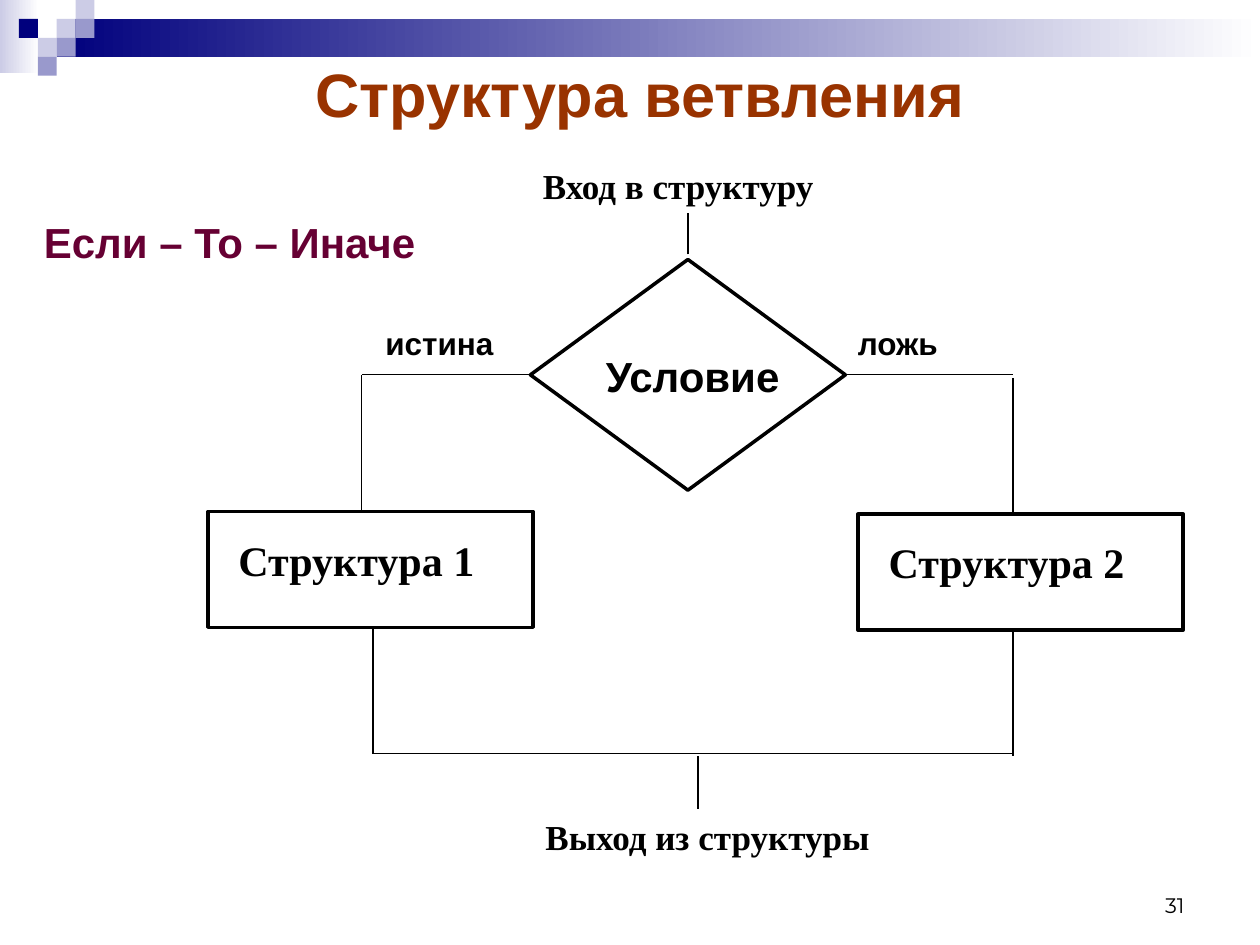
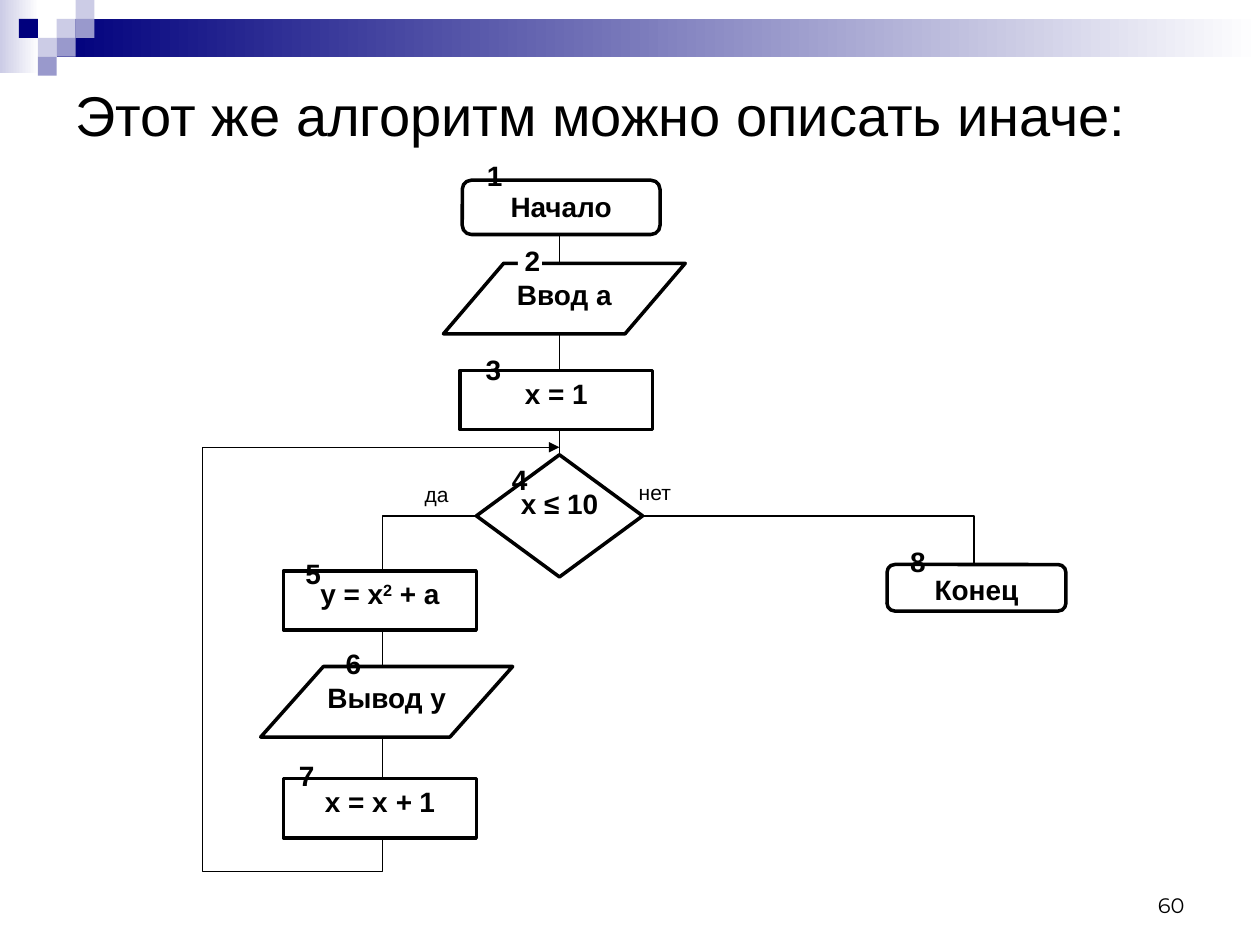
from dataclasses import dataclass

from lxml import etree
from pptx import Presentation
from pptx.dml.color import RGBColor
from pptx.enum.shapes import MSO_CONNECTOR, MSO_SHAPE
from pptx.enum.text import MSO_ANCHOR, MSO_AUTO_SIZE, PP_ALIGN
from pptx.oxml.ns import qn
from pptx.util import Pt

RECT, ROUND = MSO_SHAPE.RECTANGLE, MSO_SHAPE.ROUNDED_RECTANGLE
DECISION, SLANT = MSO_SHAPE.FLOWCHART_DECISION, MSO_SHAPE.PARALLELOGRAM
STRAIGHT = MSO_CONNECTOR.STRAIGHT
LEFT, CENTER, RIGHT = PP_ALIGN.LEFT, PP_ALIGN.CENTER, PP_ALIGN.RIGHT
TOP, MIDDLE, BOTTOM = MSO_ANCHOR.TOP, MSO_ANCHOR.MIDDLE, MSO_ANCHOR.BOTTOM
SIDE_TOP, SIDE_LEFT, SIDE_RIGHT = 0, 1, 3


@dataclass(frozen=True)
class Theme:
    black: str = "000000"
    white: str = "FFFFFF"
    navy: str = "00007D"
    mid: str = "9999CC"
    light: str = "CCCCE6"
    rust: str = "993300"
    plum: str = "660033"
    sans: str = "Arial"
    serif: str = "Times New Roman"
    number_font: str = "Montserrat"
    title: float = 35
    plain_title: float = 32
    big: float = 24
    entry: float = 20
    label: float = 18
    node: float = 16
    small: float = 12
    outline: float = 2
    thin: float = 0.75


T = Theme()
INSET = (7.2, 3.6)
SMALL_INSET = (1.4, 0.7)

# Shared band: square size and (column, row, colour) of the mosaic
SQUARE = 10.8
MOSAIC = [(3, 1, T.light), (4, 0, T.light), (4, 1, T.mid), (2, 2, T.light),
          (1, 1, T.navy), (3, 2, T.mid), (2, 3, T.mid)]

# Slide 1: branching structure
BRANCH_TITLE = "Структура ветвления"
CONDITION = (303.1, 148.3, 180, 131.8)
BRANCH_BOXES = [("Структура 1", 118.8, 292.3), ("Структура 2", 490.3, 293.8)]
BRANCH_BOX_SIZE = (185.8, 66.2)
BRANCH_TEXTS = [  # text, box, size, font, colour, line spacing
    ("Вход в структуру", (303.1, 95, 174.2, 33.1), T.entry, T.serif, T.black, 0.8),
    ("Выход из структуры", (304.6, 462.2, 203.8, 36), T.entry, T.serif, T.black, 1),
    ("Если – То – Иначе", (18, 120.2, 228.2, 64.8), T.big, T.sans, T.plum, 1),
    ("Условие", (339.1, 196.6, 126, 36), T.big, T.sans, T.black, 1),
    ("истина", (213.1, 181.4, 91.4, 28.8), T.label, T.sans, T.black, 1),
    ("ложь", (483.1, 181.4, 91.4, 28.8), T.label, T.sans, T.black, 1),
]
BRANCH_LINES = [
    (393.1, 145.4, 393.1, 121.7),
    (206.6, 214.2, 206.6, 292.3), (578.9, 216, 578.9, 293.8),
    (213.1, 358.5, 213.1, 430.6), (578.9, 360, 578.9, 432),
    (213.1, 430.6, 578.9, 430.6), (398.9, 432, 398.9, 462.2),
]

# Slide 2: flowchart of the loop
LOOP_TITLE = "Этот же алгоритм можно описать иначе:"
MAIN_X, BODY_X, END_X, LOOP_X = 319.7, 218.4, 556.6, 115.9
SPLIT_Y, LOOP_TOP, LOOP_BOTTOM = 294.8, 255.6, 498.2
YES_X, NO_X = 244.8, 397.4
STEP_SIZE = (110.2, 33.8)
# key: shape, box, runs of (text, style), adjustment
NODES = {
    "start": (ROUND, (264.2, 103, 113, 31), [("Начало", "")], 0.167),
    "input": (SLANT, (253.4, 150.5, 138.2, 40.3), [("Ввод a", "")], 0.854),
    "init": (RECT, (262.8, 211.7, *STEP_SIZE), [("х = 1", "")], None),
    "test": (DECISION, (272.2, 259.9, 95, 69.8), [("x ≤ 10", "")], None),
    "calc": (RECT, (162, 326.2, *STEP_SIZE),
             [("у = х", ""), ("2", "sup"), (" + а", "")], None),
    "output": (SLANT, (149, 380.9, 144, 40.3), [("Вывод у", "")], 0.889),
    "step": (RECT, (162, 445, *STEP_SIZE),
             [("х = х ", ""), ("+", "italic"), (" 1", "")], None),
    "end": (ROUND, (506.9, 322.6, 102.2, 26.6), [("Конец", "")], 0.167),
}
TRUNKS = [(MAIN_X, ["start", "input", "init", "test"]),
          (BODY_X, ["calc", "output", "step"])]
ANSWERS = [("да", (241.2, 274.3, 42.5, 28)), ("нет", (363.6, 273.6, 49.7, 31.7))]
NUMBER_SIZE = 13.7
NUMBERS = [(274.3, 90.7), (295.9, 139), (273.6, 201.6), (288.7, 264.2),
           (170.6, 318.2), (193.7, 369.4), (167, 433.4), (516.2, 311)]
MASKED_NUMBER = 2


def rgb(colour):
    return RGBColor.from_string(colour)


def pts(values):
    return [Pt(v) for v in values]


# Text helpers
def setup_frame(tf, inset=INSET, anchor=TOP, wrap=True):
    tf.word_wrap = wrap
    tf.auto_size = MSO_AUTO_SIZE.NONE
    tf.vertical_anchor = anchor
    tf.margin_left = tf.margin_right = Pt(inset[0])
    tf.margin_top = tf.margin_bottom = Pt(inset[1])


def write(tf, runs, size, font=T.sans, colour=T.black, bold=True, align=LEFT,
          spacing=1):
    p = tf.paragraphs[0]
    p.alignment = align
    p.line_spacing = spacing
    p.space_before = Pt(0)
    for text, style in runs:
        r = p.add_run()
        r.text = text
        r.font.size, r.font.name, r.font.bold = Pt(size), font, bold
        r.font.color.rgb = rgb(colour)
        if style == "italic":
            r.font.italic = True
        elif style == "sup":
            r.font._element.set("baseline", "30000")


def add_text(slide, text, box, size, inset=INSET, anchor=TOP, **look):
    sp = slide.shapes.add_textbox(*pts(box))
    setup_frame(sp.text_frame, inset, anchor)
    write(sp.text_frame, [(text, "")], size, **look)
    return sp


# Shape helpers
def add_block(slide, kind, box, fill=T.white, outline=True):
    sp = slide.shapes.add_shape(kind, *pts(box))
    sp.shadow.inherit = False
    if isinstance(fill, tuple):
        sp.fill.gradient()
        sp.fill.gradient_angle = 0
        for stop, colour in zip(sp.fill.gradient_stops, fill):
            stop.color.rgb = rgb(colour)
    else:
        sp.fill.solid()
        sp.fill.fore_color.rgb = rgb(fill)
    if outline:
        sp.line.color.rgb = rgb(T.black)
        sp.line.width = Pt(T.outline)
    else:
        sp.line.fill.background()
    return sp


def thin_line(sp):
    sp.line.color.rgb = rgb(T.black)
    sp.line.width = Pt(T.thin)


def add_line(slide, x1, y1, x2, y2):
    line = slide.shapes.add_connector(STRAIGHT, *pts((x1, y1, x2, y2)))
    thin_line(line)
    etree.SubElement(line._element.spPr, qn("a:effectLst"))
    return line


def add_path(slide, points, arrow=False):
    start, *rest = [tuple(pts(point)) for point in points]
    builder = slide.shapes.build_freeform(*start, scale=1.0)
    builder.add_line_segments(rest, close=False)
    sp = builder.convert_to_shape()
    sp.fill.background()
    sp.shadow.inherit = False
    thin_line(sp)
    if arrow:
        ln = sp._element.spPr.find(qn("a:ln"))
        etree.SubElement(ln, qn("a:tailEnd"), type="triangle")


# Everything the slides share: band, mosaic, title, page number
def new_slide(prs, title, box, number, **look):
    slide = prs.slides.add_slide(prs.slide_layouts[5])
    add_block(slide, RECT, (0, 0, 22.3, 41.8), (T.light, T.white), False)
    add_block(slide, RECT, (32.4, SQUARE, 687.6, 21.6), (T.navy, T.white), False)
    for col, row, colour in MOSAIC:
        cell = (col * SQUARE, row * SQUARE, SQUARE, SQUARE)
        add_block(slide, RECT, cell, colour, False)
    add_text(slide, number, (516.2, 491.8, 167.8, 36), T.small, anchor=BOTTOM,
             font=T.number_font, bold=False, align=RIGHT)
    sp = slide.shapes.title
    sp.left, sp.top, sp.width, sp.height = pts(box)
    setup_frame(sp.text_frame, anchor=MIDDLE)
    write(sp.text_frame, [(title, "")], **look)
    return slide


def build_branch(prs):
    slide = new_slide(prs, BRANCH_TITLE, (62.6, 23, 606.2, 60.5), "31",
                      size=T.title, colour=T.rust, align=CENTER)
    for line in BRANCH_LINES:
        add_line(slide, *line)

    # Condition with its two arms
    x, y, w, h = CONDITION
    condition = add_block(slide, DECISION, CONDITION)
    mid = y + h / 2
    add_line(slide, x, mid, 206.6, mid).begin_connect(condition, SIDE_LEFT)
    add_line(slide, x + w, mid, 578.9, mid).begin_connect(condition, SIDE_RIGHT)

    # Branches and captions
    for name, left, top in BRANCH_BOXES:
        add_block(slide, RECT, (left, top, *BRANCH_BOX_SIZE))
        add_text(slide, name, (left + 10.4, top + 9.4, 167.8, 36), T.big,
                 font=T.serif)
    for text, box, size, font, colour, spacing in BRANCH_TEXTS:
        add_text(slide, text, box, size, font=font, colour=colour,
                 spacing=spacing)


def build_loop(prs):
    slide = new_slide(prs, LOOP_TITLE, (36, 36, 648, 58.3), "60",
                      size=T.plain_title, bold=False)

    # Bent paths: back to the test, into the body, out to the end
    calc_top, end_top = NODES["calc"][1][1], NODES["end"][1][1]
    step_bottom = NODES["step"][1][1] + STEP_SIZE[1]
    add_path(slide, [(BODY_X, step_bottom), (BODY_X, LOOP_BOTTOM),
                     (LOOP_X, LOOP_BOTTOM), (LOOP_X, LOOP_TOP),
                     (MAIN_X, LOOP_TOP)], arrow=True)
    add_path(slide, [(YES_X, SPLIT_Y), (BODY_X, SPLIT_Y), (BODY_X, calc_top)])
    add_path(slide, [(NO_X, SPLIT_Y), (END_X, SPLIT_Y), (END_X, end_top)])

    # Nodes
    shapes = {}
    for key, (kind, box, runs, adjustment) in NODES.items():
        sp = shapes[key] = add_block(slide, kind, box)
        if adjustment is not None:
            sp.adjustments[0] = adjustment
        inset = SMALL_INSET if kind in (SLANT, DECISION) else INSET
        setup_frame(sp.text_frame, inset, wrap=False)
        write(sp.text_frame, runs, T.node, align=CENTER)

    # Straight links between neighbours
    for x, keys in TRUNKS:
        for upper, lower in zip(keys, keys[1:]):
            _, top, _, height = NODES[upper][1]
            link = add_line(slide, x, top + height, x, NODES[lower][1][1])
            if lower == "test":
                link.end_connect(shapes[lower], SIDE_TOP)
    left, _, width, _ = NODES["test"][1]
    for x, x_end, side in [(left, YES_X, SIDE_LEFT),
                           (left + width, NO_X, SIDE_RIGHT)]:
        link = add_line(slide, x, SPLIT_Y, x_end, SPLIT_Y)
        link.begin_connect(shapes["test"], side)

    # Answers and step numbers
    for text, box in ANSWERS:
        add_text(slide, text, box, T.small, SMALL_INSET, bold=False)
    for n, (x, y) in enumerate(NUMBERS, 1):
        sp = add_text(slide, str(n), (x, y, NUMBER_SIZE, NUMBER_SIZE), T.node,
                      (0, 0), align=CENTER)
        sp.text_frame.margin_left = Pt(2.9)
        if n == MASKED_NUMBER:
            sp.fill.solid()
            sp.fill.fore_color.rgb = rgb(T.white)


def main():
    prs = Presentation()
    prs.slide_width, prs.slide_height = Pt(720), Pt(540)
    build_branch(prs)
    build_loop(prs)
    prs.save("out.pptx")


if __name__ == "__main__":
    main()
